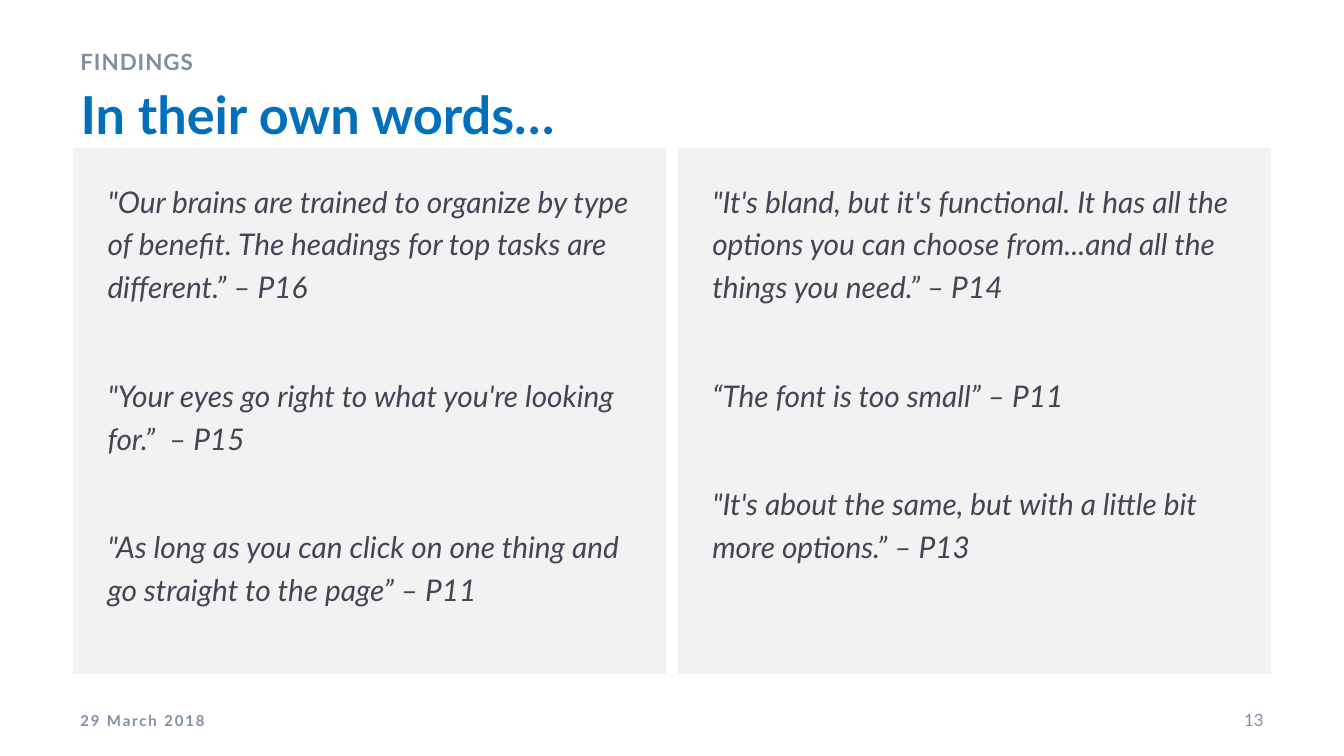
from lxml import etree
from pptx import Presentation
from pptx.dml.color import RGBColor
from pptx.enum.text import MSO_ANCHOR, MSO_AUTO_SIZE, PP_ALIGN
from pptx.oxml.ns import qn
from pptx.util import Pt

TOP, MID = MSO_ANCHOR.TOP, MSO_ANCHOR.MIDDLE
LEFT, RIGHT = PP_ALIGN.LEFT, PP_ALIGN.RIGHT
FIXED = MSO_AUTO_SIZE.NONE
BLUE, SLATE, INK, PALE, WHITE = "0070BC", "7F8EA3", "454454", "F2F2F2", "FFFFFF"

QUOTES = [
    [
        "\"Our brains are trained to organize by type of benefit. The headings for top tasks are different.” – P16",
        "\"Your eyes go right to what you're looking for.”  – P15",
        "\"As long as you can click on one thing and go straight to the page” – P11",
    ],
    [
        "\"It's bland, but it's functional. It has all the options you can choose from...and all the things you need.” – P14",
        "“The font is too small” – P11",
        "\"It's about the same, but with a little bit more options.” – P13",
    ],
]


def color(code):
    """Turn a hex string into a colour."""
    return RGBColor.from_string(code)


def place(shape, left, top, width, height):
    """Move and size a shape, in points."""
    shape.left, shape.top = Pt(left), Pt(top)
    shape.width, shape.height = Pt(width), Pt(height)


def style(para, size, code, bold=False, italic=False, align=LEFT):
    """Set the font and alignment of a paragraph."""
    para.alignment = align
    font = para.font
    font.name, font.size = "Lato", Pt(size)
    font.bold, font.italic = bold, italic
    font.color.rgb = color(code)


def set_frame(shape, anchor):
    """Make a wrapping text frame of fixed size."""
    frame = shape.text_frame
    frame.word_wrap, frame.auto_size = True, FIXED
    frame.vertical_anchor = anchor
    return frame


def add_title(slide, text):
    """Fill the title placeholder."""
    place(slide.shapes.title, 36, 40.3, 594, 49.7)
    frame = set_frame(slide.shapes.title, TOP)
    frame.text = text
    style(frame.paragraphs[0], 28, BLUE, bold=True)


def add_label(slide, text, box, size, bold=False, align=LEFT, track=0, anchor=MID, lead=1.0):
    """Add a small line of text with optional letter spacing."""
    shape = slide.shapes.add_textbox(*map(Pt, box))
    frame = set_frame(shape, anchor)
    para = frame.paragraphs[0]
    para.line_spacing = lead
    run = para.add_run()
    run.text = text
    if track:
        run._r.get_or_add_rPr().set("spc", str(round(track * 100)))
    style(para, size, SLATE, bold=bold, align=align)


def add_panel(shape, left, quotes):
    """Turn a body placeholder into a grey panel of quotes."""
    place(shape, left, 76.3, 324, 288)
    shape.fill.solid()
    shape.fill.fore_color.rgb = color(PALE)
    shape.line.color.rgb = color(WHITE)
    shape.line.width = Pt(6)
    frame = set_frame(shape, TOP)
    frame.margin_left = frame.margin_right = Pt(21.6)
    frame.margin_top = frame.margin_bottom = Pt(18)
    frame.text = "\n".join(quotes)
    for para in frame.paragraphs:
        props = para._p.get_or_add_pPr()
        props.set("marL", "0")
        props.set("indent", "0")
        etree.SubElement(props, qn("a:buNone"))
        para.line_spacing = 1.2
        para.space_before, para.space_after = Pt(0), Pt(35)
        style(para, 16, INK, italic=True)


def main():
    """Build the slide and save it."""
    deck = Presentation()
    deck.slide_width, deck.slide_height = Pt(720), Pt(405)
    slide = deck.slides.add_slide(deck.slide_layouts[3])
    add_title(slide, "In their own words…")
    add_label(slide, "FINDINGS", (36, 19.4, 594, 20.9), 12, bold=True, track=0.5, anchor=TOP, lead=1.2)
    for col, quotes in enumerate(QUOTES):
        add_panel(slide.placeholders[col + 1], 36 + 324 * col, quotes)
    add_label(slide, "29 March 2018", (36, 375, 162, 21.6), 8, bold=True, track=1)
    add_label(slide, "13", (630, 375, 54, 21.6), 9, align=RIGHT)
    deck.save("out.pptx")


if __name__ == "__main__":
    main()
